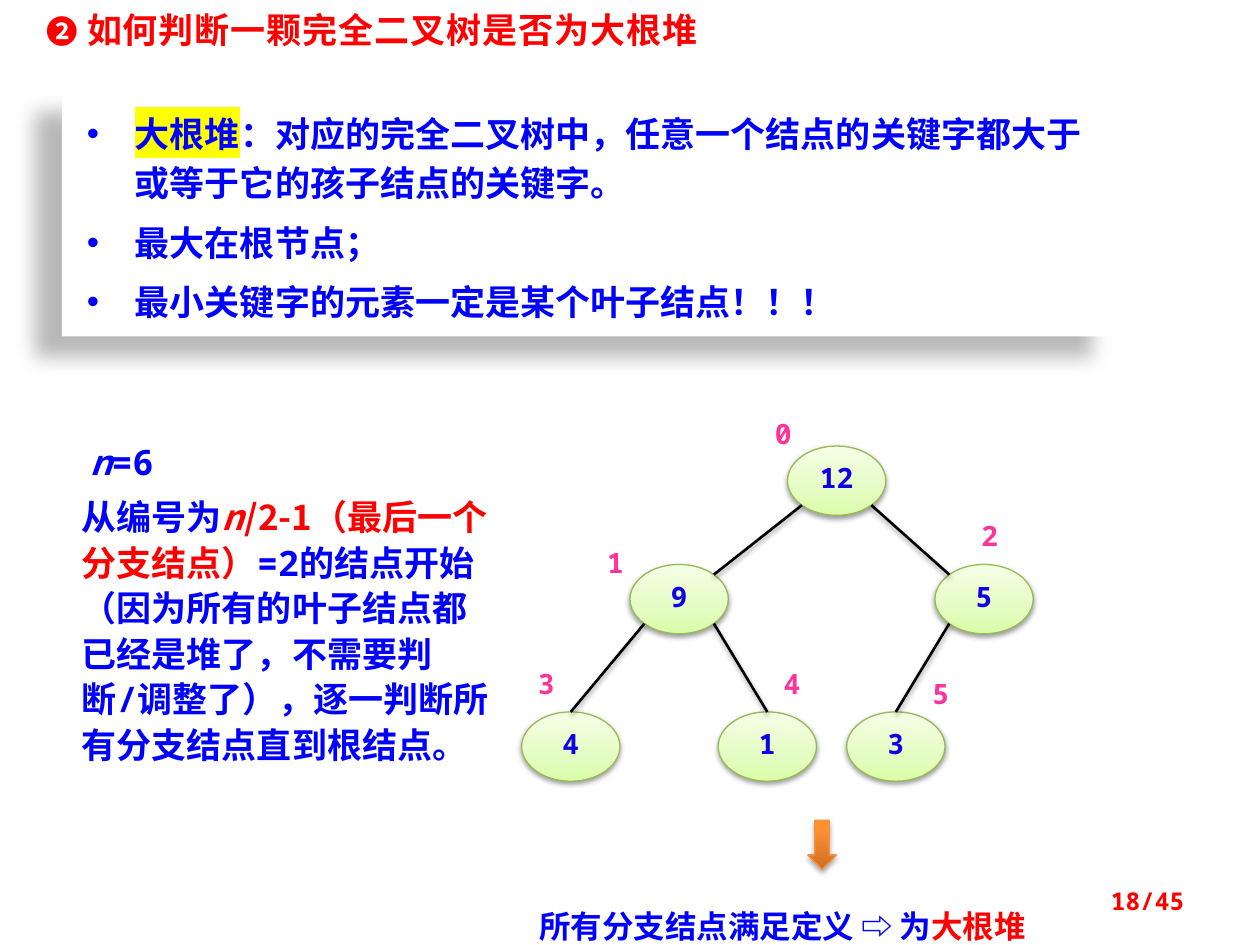
from dataclasses import dataclass
from math import sqrt

from pptx import Presentation
from pptx.dml.color import RGBColor
from pptx.enum.shapes import MSO_CONNECTOR as Connector, MSO_SHAPE as Shape
from pptx.enum.text import MSO_ANCHOR as Anchor, MSO_AUTO_SIZE as AutoSize, PP_ALIGN as Align
from pptx.oxml import parse_xml
from pptx.oxml.ns import nsdecls
from pptx.util import Inches, Pt


@dataclass(frozen=True)
class Theme:
    mono: str = "Noto Sans Mono"
    cjk: str = "Noto Sans CJK SC"
    blue: str = "0000FF"
    red: str = "FF0000"
    pink: str = "FF3399"
    node_text: str = "1000E4"
    node_line: str = "98B955"
    node_stops: tuple = ((0, "DAFDA7"), (35, "E4FCC2"), (100, "F5FFE7"))
    arrow_line: str = "F69240"
    arrow_stops: tuple = ((0, "CC6E20"), (80, "FF9034"), (100, "FF9136"))
    edge: str = "000000"
    panel: str = "FFFFFF"
    marker: str = "FFFF00"
    body: int = 20
    note: int = 18
    node: int = 16
    page: int = 14


THEME = Theme()


def rgb(value):
    return RGBColor.from_string(value)


def add_run(paragraph, text, size=THEME.body, color=THEME.blue, font=THEME.mono,
            italic=False, highlight=None, spacing=None):
    run = paragraph.add_run()
    run.text = text
    run.font.size, run.font.bold, run.font.italic = Pt(size), True, italic
    run.font.color.rgb = rgb(color)
    properties = run.font._element
    if spacing:
        properties.set("spc", str(int(spacing * 100)))
    if highlight:
        properties.append(parse_xml(
            f'<a:highlight {nsdecls("a")}><a:srgbClr val="{highlight}"/></a:highlight>'))
    run.font.name = font
    properties.append(parse_xml(f'<a:ea {nsdecls("a")} typeface="{THEME.cjk}"/>'))


def add_bullet(paragraph, indent):
    properties = paragraph._p.get_or_add_pPr()
    properties.set("marL", str(indent))
    properties.set("indent", str(-indent))
    properties.append(parse_xml(f'<a:buFont {nsdecls("a")} typeface="Arial"/>'))
    properties.append(parse_xml(f'<a:buChar {nsdecls("a")} char="•"/>'))


def write(shape, *paragraphs, align=Align.LEFT, anchor=Anchor.TOP, line_spacing=None,
          space_before=0, bullet_indent=None, insets=(0.1, 0.05, 0.1, 0.05)):
    """Fill a shape with paragraphs, each a list of (text, run format) pairs."""
    frame = shape.text_frame
    frame.word_wrap, frame.auto_size, frame.vertical_anchor = True, AutoSize.NONE, anchor
    (frame.margin_left, frame.margin_top,
     frame.margin_right, frame.margin_bottom) = map(Inches, insets)
    for index, runs in enumerate(paragraphs):
        paragraph = frame.add_paragraph() if index else frame.paragraphs[0]
        paragraph.alignment = align
        if line_spacing:
            paragraph.line_spacing = line_spacing
        paragraph.space_before = Pt(space_before if index else 0)
        if bullet_indent:
            add_bullet(paragraph, bullet_indent)
        for text, run_format in runs:
            add_run(paragraph, text, **run_format)


def add_text(shapes, box, *paragraphs, **text_format):
    write(shapes.add_textbox(*map(Inches, box)), *paragraphs, **text_format)


def set_shadow(shape, opacity=38, blur=3.1, distance=1.6, angle=90):
    shape.element.spPr.append(parse_xml(
        f'<a:effectLst {nsdecls("a")}><a:outerShdw blurRad="{Pt(blur)}" dist="{Pt(distance)}" '
        f'dir="{angle * 60000}" rotWithShape="0"><a:srgbClr val="000000">'
        f'<a:alpha val="{opacity * 1000}"/></a:srgbClr></a:outerShdw></a:effectLst>'))


def add_gradient_shape(shapes, kind, box, stops, line_color):
    shape = shapes.add_shape(kind, *map(Inches, box))
    stop_xml = "".join(f'<a:gs pos="{position * 1000}"><a:srgbClr val="{color}"/></a:gs>'
                       for position, color in stops)
    shape.element.spPr.prstGeom.addnext(parse_xml(
        f'<a:gradFill {nsdecls("a")} rotWithShape="1"><a:gsLst>{stop_xml}</a:gsLst>'
        '<a:lin ang="16200000" scaled="0"/></a:gradFill>'))
    shape.line.color.rgb = rgb(line_color)
    shape.line.width = Pt(0.75)
    return shape


def add_title(slide, left, top, width, height):
    title = slide.shapes.title
    title.left, title.top, title.width, title.height = map(Inches, (left, top, width, height))
    style = {"color": THEME.red, "spacing": 0.5}
    write(title, [("❷ ", {**style, "size": THEME.note}),
                  ("如何判断一颗完全二叉树是否为大根堆", style)])


def add_definition(slide, left, top, width, height):
    panel = slide.shapes.add_shape(Shape.RECTANGLE, *map(Inches, (left, top, width, height)))
    panel.fill.solid()
    panel.fill.fore_color.rgb = rgb(THEME.panel)
    panel.line.fill.background()
    set_shadow(panel, opacity=28, blur=11.8, distance=19.7, angle=141)
    write(panel,
          [("大根堆", {"highlight": THEME.marker}),
           ("：对应的完全二叉树中，任意一个结点的关键字都大于或等于它的孩子结点的关键字。", {})],
          [("最大在根节点；", {})],
          [("最小关键字的元素一定是某个叶子结点！！！", {})],
          line_spacing=Pt(28), space_before=6, bullet_indent=Inches(0.38),
          insets=(0.2, 0.12, 0.1, 0.12))


def add_explanation(slide, left, top, width, height):
    add_text(slide.shapes, (left + 0.07, top, 1.33, 0.44),
             [("n", {"italic": True}), ("=6", {})])
    branch = {"font": THEME.cjk, "color": THEME.red}
    add_text(slide.shapes, (left, top + 0.41, width, height - 0.41),
             [("从编号为", {}), ("n", {**branch, "italic": True}),
              ("/2-1（最后一个分支结点）", branch),
              ("=2的结点开始（因为所有的叶子结点都已经是堆了，不需要判断/调整了），"
               "逐一判断所有分支结点直到根结点。", {})],
             line_spacing=Pt(26))


def add_heap(slide, left, top):
    """Draw the tree in array order: node i hangs under node (i - 1) // 2."""
    keys = (12, 9, 5, 4, 1, 3)
    node_lefts = (2.11, 0.86, 3.28, 0, 1.56, 2.58)
    level_tops = (0.18, 1.12, 2.29)
    label_places = ((1.88, 0), (0.55, 1.02), (3.52, 0.81), (0, 1.98), (1.95, 1.98), (3.13, 2.06))
    width, height = 0.78, 0.55
    diagonal_x, diagonal_y = Inches(width / sqrt(8)), Inches(height / sqrt(8))

    nodes = []
    for index, (key, node_left) in enumerate(zip(keys, node_lefts)):
        level = (index + 1).bit_length() - 1
        node = add_gradient_shape(slide.shapes, Shape.OVAL,
                                  (left + node_left, top + level_tops[level], width, height),
                                  THEME.node_stops, THEME.node_line)
        set_shadow(node)
        write(node, [(str(key), {"size": THEME.node, "color": THEME.node_text})],
              align=Align.CENTER, anchor=Anchor.MIDDLE, line_spacing=0.8)
        nodes.append(node)

    for index, child in enumerate(nodes[1:], start=1):
        parent = nodes[(index - 1) // 2]
        side = -1 if index % 2 else 1
        begin_x = parent.left + parent.width // 2 + side * diagonal_x
        begin_y = parent.top + parent.height // 2 + diagonal_y
        end_x = child.left + child.width // 2 - side * diagonal_x
        end_y = child.top + child.height // 2 - diagonal_y
        edge = slide.shapes.add_connector(Connector.STRAIGHT, begin_x, begin_y, end_x, end_y)
        is_leaf = 2 * index + 1 >= len(nodes)
        if is_leaf:
            edge.end_connect(child, 0)
        edge.line.color.rgb = rgb(THEME.edge)
        edge.line.width = Pt(1.5)
        set_shadow(edge)

    for index, (label_left, label_top) in enumerate(label_places):
        add_text(slide.shapes, (left + label_left, top + label_top, 0.39, 0.22),
                 [(str(index), {"size": THEME.node, "color": THEME.pink})],
                 align=Align.CENTER, line_spacing=0.8, insets=(0, 0, 0, 0))


def add_conclusion(slide, left, top, width, height):
    shapes = slide.shapes.add_group_shape().shapes
    add_text(shapes, (left, top + 0.55, width, height - 0.55),
             [("所有分支结点满足定义 ⇨ 为", {"size": THEME.note}),
              ("大根堆", {"size": THEME.note, "color": THEME.red})],
             align=Align.CENTER, line_spacing=Pt(28))
    arrow = add_gradient_shape(shapes, Shape.DOWN_ARROW, (left + 2.35, top, 0.23, 0.39),
                               THEME.arrow_stops, THEME.arrow_line)
    set_shadow(arrow, opacity=35, distance=1.8)


def add_page_number(slide, *box):
    add_text(slide.shapes, box, [("18/45", {"size": THEME.page, "color": THEME.red})],
             align=Align.RIGHT, anchor=Anchor.MIDDLE)


def main():
    presentation = Presentation()
    presentation.slide_width, presentation.slide_height = Inches(10), Inches(7.5)
    slide = presentation.slides.add_slide(presentation.slide_layouts[5])
    add_title(slide, 0.27, 0.02, 6.45, 0.44)
    add_heap(slide, 4.14, 3.36)
    add_explanation(slide, 0.55, 3.45, 3.52, 2.67)
    add_conclusion(slide, 4.06, 6.51, 4.3, 1.01)
    add_page_number(slide, 7.17, 6.95, 2.33, 0.4)
    add_definition(slide, 0.49, 0.72, 8.39, 1.95)
    presentation.save("out.pptx")


if __name__ == "__main__":
    main()
